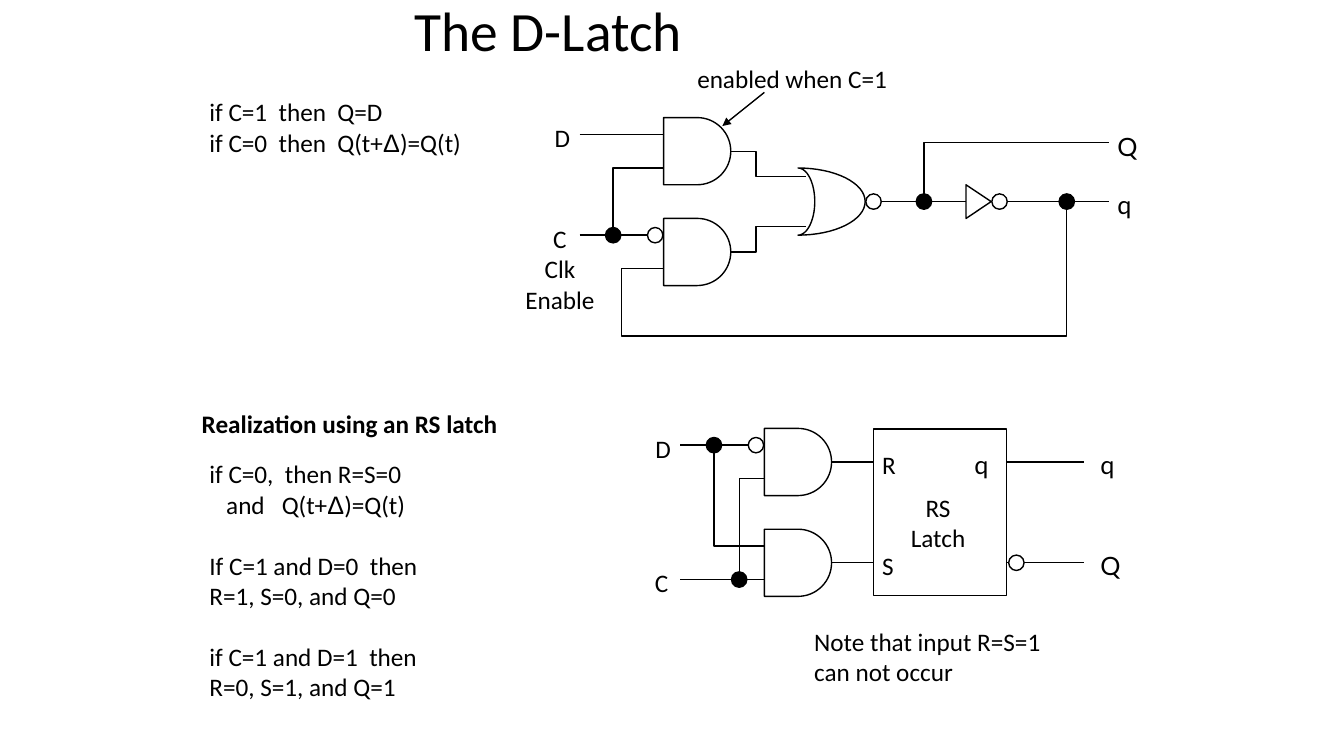
from math import cos, pi, sin

from pptx import Presentation
from pptx.dml.color import RGBColor
from pptx.enum.shapes import MSO_CONNECTOR, MSO_SHAPE
from pptx.enum.text import MSO_ANCHOR, MSO_AUTO_SIZE, PP_ALIGN as Align
from pptx.oxml.ns import qn
from pptx.util import Pt
from lxml.etree import SubElement

BLACK = "000000"
WHITE = "FFFFFF"
GATE_SIZE = 48
NODE_SIZE = 11


def color(value):
    return RGBColor.from_string(value)


def style_run(run, size=18, font="Calibri", bold=False):
    run.font.size = Pt(size)
    run.font.name = font
    run.font.bold = bold
    run.font.color.rgb = color(BLACK)


def add_title(slide, text):
    title = slide.shapes.title
    title.left, title.top, title.width, title.height = Pt(289), Pt(13), Pt(310), Pt(22)
    frame = title.text_frame
    frame.auto_size = MSO_AUTO_SIZE.NONE
    frame.vertical_anchor = MSO_ANCHOR.MIDDLE
    paragraph = frame.paragraphs[0]
    paragraph.alignment = Align.LEFT
    paragraph.line_spacing = 0.9
    run = paragraph.add_run()
    run.text = text
    style_run(run, size=39.6)


def add_text(slide, text, left, top, width, height=29, align=Align.LEFT, **font_format):
    shape = slide.shapes.add_textbox(Pt(left), Pt(top), Pt(width), Pt(height))
    frame = shape.text_frame
    frame.word_wrap = False
    frame.auto_size = MSO_AUTO_SIZE.SHAPE_TO_FIT_TEXT
    for index, line in enumerate(text.split("\n")):
        paragraph = frame.add_paragraph() if index else frame.paragraphs[0]
        paragraph.alignment = align
        for part in line.partition("Δ"):
            if part:
                run = paragraph.add_run()
                run.text = part
                style_run(run, **font_format)
                if part == "Δ":
                    run.font.name = "Arial"
    return frame.paragraphs


def style_shape(shape, fill=None):
    shape.shadow.inherit = False
    if fill:
        shape.fill.solid()
        shape.fill.fore_color.rgb = color(fill)
    else:
        shape.fill.background()
    shape.line.color.rgb = color(BLACK)
    shape.line.width = Pt(1)


def add_outline(slide, points, close=True, fill=None):
    start, *others = [(Pt(x), Pt(y)) for x, y in points]
    builder = slide.shapes.build_freeform(*start)
    builder.add_line_segments(others, close=close)
    style_shape(builder.convert_to_shape(), fill)


def add_line(slide, start, end, arrow=False):
    line = slide.shapes.add_connector(
        MSO_CONNECTOR.STRAIGHT, *[Pt(value) for value in (*start, *end)])
    line.line.color.rgb = color(BLACK)
    line.line.width = Pt(1)
    if arrow:
        SubElement(line.line._get_or_add_ln(), qn("a:tailEnd"), type="triangle")
    SubElement(line._element.spPr, qn("a:effectLst"))


def add_wire(slide, *points):
    if len(points) == 2:
        add_line(slide, *points)
    else:
        add_outline(slide, points, close=False)


def half_ellipse(x, y, width, steps=32):
    radius = GATE_SIZE / 2
    angles = [pi * step / steps - pi / 2 for step in range(steps + 1)]
    return [(x + width * cos(a), y + radius + radius * sin(a)) for a in angles]


def add_and_gate(slide, left, top):
    front = half_ellipse(left + GATE_SIZE / 2, top, GATE_SIZE / 2)
    add_outline(slide, [(left, top), *front, (left, top + GATE_SIZE)])


def add_or_gate(slide, left, top):
    front = half_ellipse(left, top, GATE_SIZE)
    back = half_ellipse(left, top, 12)
    add_outline(slide, front + back[::-1])


def add_node(slide, x, y, fill):
    node = slide.shapes.add_shape(
        MSO_SHAPE.OVAL, Pt(x - NODE_SIZE / 2), Pt(y - NODE_SIZE / 2),
        Pt(NODE_SIZE), Pt(NODE_SIZE))
    style_shape(node, fill)


def draw_gate_latch(slide):
    for top in (84, 156):
        add_and_gate(slide, 474, top)
    add_or_gate(slide, 570, 120)

    add_wire(slide, (414, 96), (474, 96))
    add_wire(slide, (414, 168), (462, 168))
    add_wire(slide, (474, 120), (438, 120), (438, 168))
    add_wire(slide, (522, 108), (540, 108), (540, 126), (576, 126))
    add_wire(slide, (522, 180), (540, 180), (540, 162), (576, 162))
    add_wire(slide, (630, 144), (792, 144))
    add_wire(slide, (660, 144), (660, 102), (792, 102))
    add_wire(slide, (474, 192), (444, 192), (444, 240), (762, 240), (762, 144))

    add_outline(slide, [(690, 132), (690, 156), (708, 144)], fill=WHITE)
    for bubble in ((468, 168), (624, 144), (714, 144)):
        add_node(slide, *bubble, WHITE)
    for junction in ((438, 168), (660, 144), (762, 144)):
        add_node(slide, *junction, BLACK)

    add_text(slide, "D", 389, 84, 26)
    add_text(slide, "C\nClk\nEnable", 368, 156, 64, 73, align=Align.CENTER)
    add_text(slide, "Q", 791, 90, 27, font="Lato")
    add_text(slide, "q", 791, 132, 24, font="Lato")
    add_text(slide, "enabled when C=1", 491, 42, 152)
    add_line(slide, (546, 66), (516, 90), arrow=True)


def draw_rs_latch(slide):
    for top in (306, 378):
        add_and_gate(slide, 546, top)
        add_wire(slide, (594, top + 24), (774, top + 24))
    latch = slide.shapes.add_shape(MSO_SHAPE.RECTANGLE, Pt(624), Pt(306.5), Pt(95), Pt(119))
    style_shape(latch, WHITE)

    add_wire(slide, (486, 318), (534, 318))
    add_wire(slide, (546, 390), (510, 390), (510, 318))
    add_wire(slide, (486, 414), (546, 414))
    add_wire(slide, (546, 342), (528, 342), (528, 414))

    for bubble in ((540, 318), (726, 402)):
        add_node(slide, *bubble, WHITE)
    for junction in ((510, 318), (528, 414)):
        add_node(slide, *junction, BLACK)

    add_text(slide, "D", 461, 306, 26)
    add_text(slide, "C", 460, 402, 25, align=Align.CENTER)
    add_text(slide, "R", 623, 317.5, 25)
    add_text(slide, "S", 623, 389.5, 23)
    add_text(slide, "RS\nLatch", 643, 348, 54, 51, align=Align.CENTER)
    add_text(slide, "q", 689, 317.5, 24, font="Lato")
    add_text(slide, "q", 779, 317.5, 24, font="Lato")
    add_text(slide, "Q", 779, 389.5, 27, font="Lato")


def add_explanations(slide):
    add_text(slide, "if C=1  then  Q=D\nif C=0  then  Q(t+Δ)=Q(t)", 142.5, 65.5, 195, 51)
    add_text(slide, "Realization using an RS latch", 137, 288, 228, bold=True)
    rules = add_text(
        slide,
        "if C=0,  then R=S=0\nand   Q(t+Δ)=Q(t)\n"
        "If C=1 and D=0  then\nR=1, S=0, and Q=0\n"
        "if C=1 and D=1  then\nR=0, S=1, and Q=1",
        142.5, 324, 165, 181)
    rules[1]._p.get_or_add_pPr().set("marL", str(Pt(12)))
    for index in (2, 4):
        rules[index].space_before = Pt(22)
    add_text(slide, "Note that input R=S=1\ncan not occur", 574.5, 443.5, 178, 51)


def main():
    presentation = Presentation()
    presentation.slide_width = Pt(960)
    presentation.slide_height = Pt(540)
    slide = presentation.slides.add_slide(presentation.slide_layouts[5])
    add_title(slide, "The D-Latch")
    draw_gate_latch(slide)
    add_explanations(slide)
    draw_rs_latch(slide)
    presentation.save("out.pptx")


if __name__ == "__main__":
    main()
